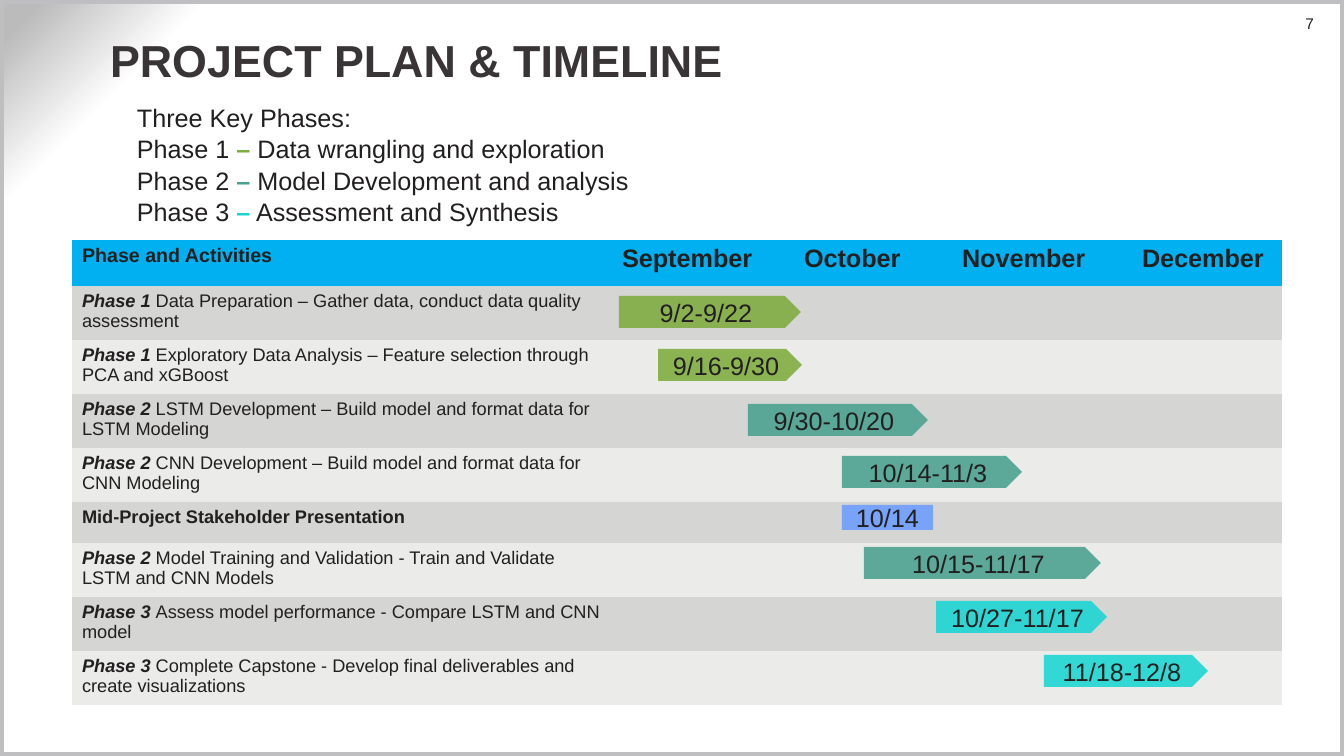
from lxml import etree
from pptx import Presentation
from pptx.dml.color import RGBColor
from pptx.enum.shapes import MSO_SHAPE as SHAPE
from pptx.enum.text import MSO_ANCHOR as ANCHOR, MSO_AUTO_SIZE as AUTO, PP_ALIGN as ALIGN
from pptx.oxml import parse_xml
from pptx.oxml.ns import nsdecls, qn
from pptx.util import Pt

FONT = "Arial"
INK = RGBColor(0x22, 0x1F, 0x20)
TITLE = RGBColor(0x39, 0x34, 0x36)
FRAME = RGBColor(0xBF, 0xBF, 0xC2)
HEADER = RGBColor(0x00, 0xB0, 0xF0)
BANDS = [RGBColor(0xD5, 0xD5, 0xD3), RGBColor(0xEB, 0xEB, 0xEA)]
GREEN = RGBColor(0x7F, 0xAC, 0x3E)
TEAL = RGBColor(0x49, 0xA1, 0x90)
CYAN = RGBColor(0x18, 0xD6, 0xD2)
BLUE = RGBColor(0x6C, 0x9D, 0xFF)
NO_GRID = "{2D5ABB26-0587-4C30-8999-92F81FD0307C}"
BACKGROUND = f"""<p:bg {nsdecls('p', 'a')}><p:bgPr><a:gradFill><a:gsLst>
<a:gs pos="87000"><a:srgbClr val="FFFFFF"/></a:gs>
<a:gs pos="90000"><a:srgbClr val="FFFFFF"/></a:gs>
<a:gs pos="98000"><a:srgbClr val="BBBBBC"/></a:gs></a:gsLst>
<a:path path="circle"><a:fillToRect l="100000" t="100000"/></a:path>
</a:gradFill><a:effectLst/></p:bgPr></p:bg>"""


def px(n):
    return round(n * 914400 / 100.8)


class Deck:
    def __init__(self, width, height):
        self.prs = Presentation()
        self.prs.slide_width, self.prs.slide_height = px(width), px(height)
        self.s = self.prs.slides.add_slide(self.prs.slide_layouts[5])
        self.s.element.cSld.insert(0, parse_xml(BACKGROUND))

    def runs(self, p, parts, size, color=INK):
        """Each part is a text with a dict of font values."""
        for text, style in parts:
            r = p.add_run()
            r.text = text
            r.font.color.rgb = style.get("color", color)
            values = {"name": FONT, "size": Pt(size), "bold": False, **style}
            for key, value in values.items():
                if key != "color":
                    setattr(r.font, key, value)

    def frame(self, tf, **values):
        values = {"word_wrap": True, "auto_size": AUTO.NONE, **values}
        for key, value in values.items():
            setattr(tf, key, value)

    def title(self, text, *box):
        sp = self.s.shapes.title
        sp.left, sp.top, sp.width, sp.height = map(px, box)
        self.frame(sp.text_frame, vertical_anchor=ANCHOR.MIDDLE, margin_left=px(5),
                   margin_right=px(5), margin_top=0, margin_bottom=0)
        p = sp.text_frame.paragraphs[0]
        p.alignment = ALIGN.LEFT
        self.runs(p, [(text, {"bold": True})], 32, TITLE)

    def text(self, lines, size, *box, align=ALIGN.LEFT, spacing=1.0, **values):
        tf = self.s.shapes.add_textbox(*map(px, box)).text_frame
        self.frame(tf, **values)
        for i, parts in enumerate(lines):
            p = tf.add_paragraph() if i else tf.paragraphs[0]
            p.alignment, p.line_spacing = align, spacing
            self.runs(p, parts, size)

    def border(self, width, height):
        sp = self.s.shapes.add_shape(SHAPE.RECTANGLE, 0, 0, px(width), px(height))
        sp.shadow.inherit = False
        sp.fill.background()
        sp.line.color.rgb, sp.line.width = FRAME, Pt(6)

    def bar(self, kind, label, color, *box):
        sp = self.s.shapes.add_shape(kind, *map(px, box))
        sp.shadow.inherit = False
        sp.fill.solid()
        sp.fill.fore_color.rgb = color
        clr = sp.element.spPr.find(qn("a:solidFill"))[0]
        etree.SubElement(clr, qn("a:alpha"), val="88000")
        sp.line.fill.background()
        self.frame(sp.text_frame, vertical_anchor=ANCHOR.MIDDLE)
        p = sp.text_frame.paragraphs[0]
        p.alignment = ALIGN.CENTER
        self.runs(p, [(label, {})], 18)

    def table(self, left, top, widths, heights, header, activities):
        box = (left, top, sum(widths), sum(heights))
        table = self.s.shapes.add_table(len(heights), len(widths), *map(px, box)).table
        table._tbl.tblPr.find(qn("a:tableStyleId")).text = NO_GRID
        for col, width in zip(table.columns, widths):
            col.width = px(width)
        for i, (row, height) in enumerate(zip(table.rows, heights)):
            row.height = px(height)
            for cell in row.cells:
                cell.fill.solid()
                cell.fill.fore_color.rgb = BANDS[(i - 1) % 2] if i else HEADER
        for i, text in enumerate(header):
            p = table.cell(0, i).text_frame.paragraphs[0]
            self.runs(p, [(text, {"bold": True})], 18 if i else 14)
        for i, (phase, activity) in enumerate(activities, 1):
            lead = (phase, {"bold": True, "italic": bool(activity)})
            parts = [lead, (activity, {})] if activity else [lead]
            self.runs(table.cell(i, 0).text_frame.paragraphs[0], parts, 13)


def main():
    deck = Deck(1344, 756)

    # Page frame, number and title
    deck.border(1344, 756)
    deck.text([[("7", {})]], 11, 1254, 14, 60, 19, align=ALIGN.RIGHT,
              margin_right=0, margin_top=0, margin_bottom=0)
    deck.title("PROJECT PLAN & TIMELINE", 105, 14, 1145, 92)

    # Phase legend
    phases = [("Phase 1 ", GREEN, " Data wrangling and exploration"),
              ("Phase 2 ", TEAL, " Model Development and analysis"),
              ("Phase 3 ", CYAN, " Assessment and Synthesis")]
    legend = [[("Three Key Phases:", {})]]
    legend += [[(name, {}), ("–", {"color": color, "bold": True}), (goal, {})]
               for name, color, goal in phases]
    deck.text(legend, 18, 127, 96, 1167, 136, spacing=1.04)

    # Activity table
    activities = [
        ("Phase 1 ", "Data Preparation – Gather data, conduct data quality assessment"),
        ("Phase 1 ", "Exploratory Data Analysis – Feature selection through PCA and xGBoost"),
        ("Phase 2 ", "LSTM Development – Build model and format data for LSTM Modeling"),
        ("Phase 2 ", "CNN Development – Build model and format data for CNN Modeling"),
        ("Mid-Project Stakeholder Presentation", ""),
        ("Phase 2 ", "Model Training and Validation - Train and Validate LSTM and CNN Models"),
        ("Phase 3 ", "Assess model performance - Compare LSTM and CNN model"),
        ("Phase 3 ", "Complete Capstone - Develop final deliverables and create visualizations"),
    ]
    heights = [46] + [54 if activity else 40 for _, activity in activities]
    header = ["Phase and Activities", "September", "October", "November", "December"]
    deck.table(72, 240, [540, 182, 158, 180, 150], heights, header, activities)

    # Timeline bars
    for label, color, x, y, width in [
        ("9/2-9/22", GREEN, 619, 296, 182),
        ("9/16-9/30", GREEN, 658, 349, 144),
        ("9/30-10/20", TEAL, 748, 404, 180),
        ("10/14-11/3", TEAL, 842, 456, 180),
        ("10/15-11/17", TEAL, 864, 547, 237),
        ("10/27-11/17", CYAN, 936, 601, 171),
        ("11/18-12/8", CYAN, 1044, 655, 164),
    ]:
        deck.bar(SHAPE.PENTAGON, label, color, x, y, width, 32)
    deck.bar(SHAPE.RECTANGLE, "10/14", BLUE, 842, 505, 91, 25)

    deck.prs.save("out.pptx")


if __name__ == "__main__":
    main()
